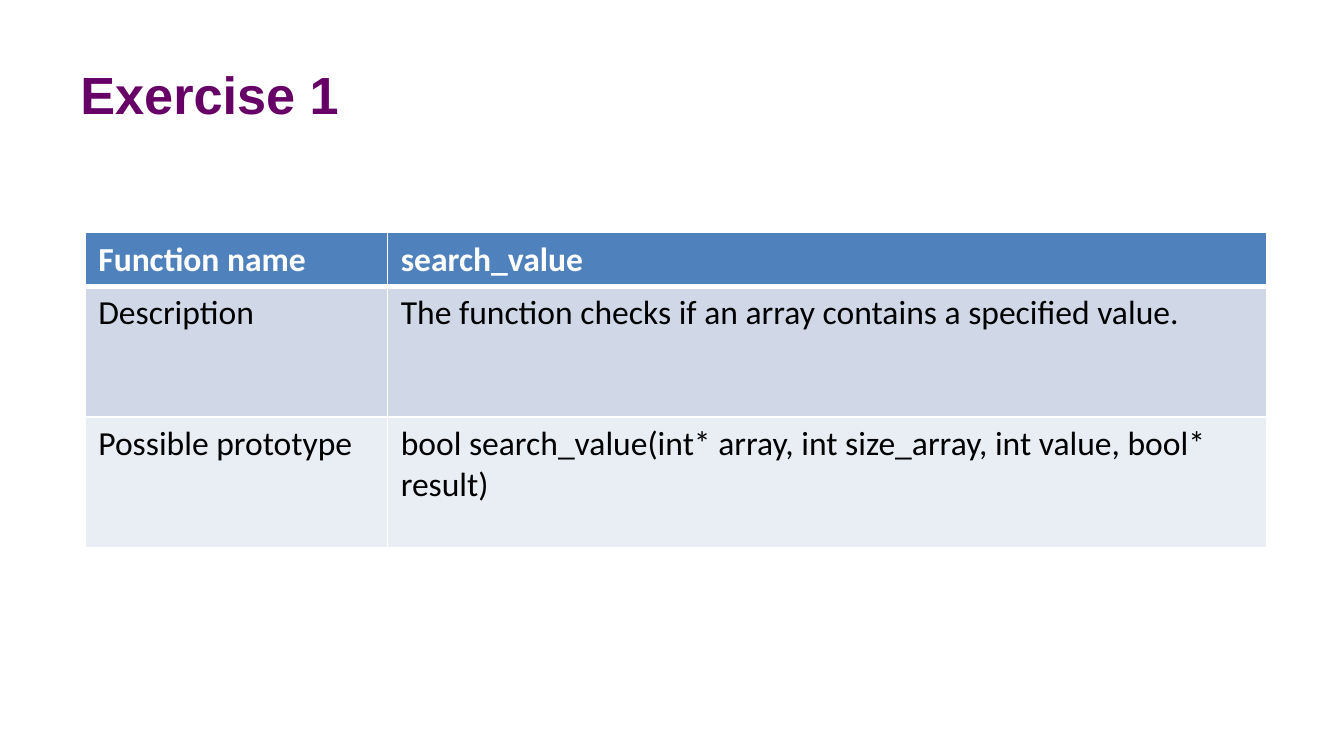
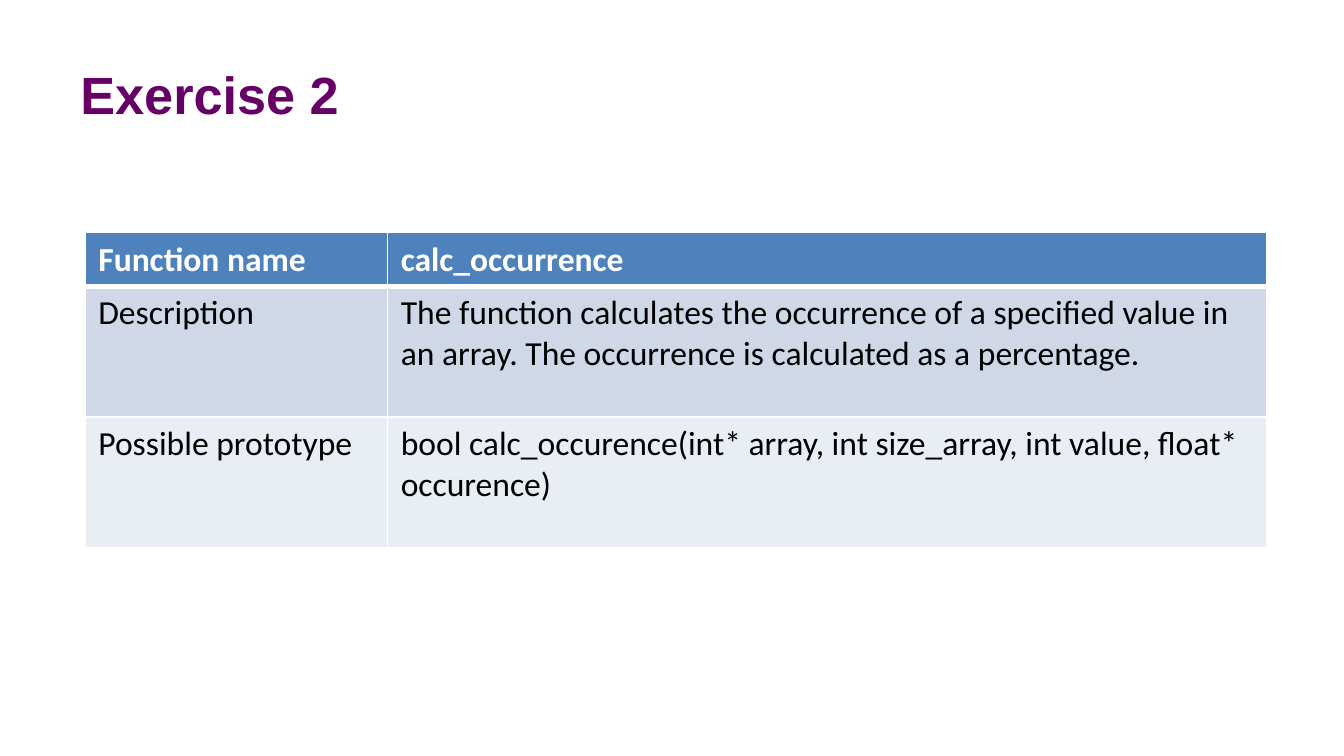
from dataclasses import dataclass

from lxml.etree import SubElement
from pptx import Presentation
from pptx.dml.color import RGBColor as RGB
from pptx.enum.text import MSO_ANCHOR as Anchor
from pptx.oxml import parse_xml
from pptx.oxml.ns import nsdecls, qn
from pptx.util import Pt


@dataclass(frozen=True)
class Theme:
    title_color: str = "660066"
    header_fill: str = "4F81BD"
    band_fills: tuple = ("D0D8E8", "E9EDF4")
    light: str = "FFFFFF"
    dark: str = "000000"
    title_font: str = "Arial"
    body_font: str = "Calibri"
    title_size: int = 28
    body_size: int = 18
    thin: int = 1
    thick: int = 3


THEME = Theme()
COLUMN_WIDTHS = (162, 471)
ROW_HEIGHTS = (28.5, 70, 70)
ROW_LABELS = ("Function name", "Description", "Possible prototype")
EXERCISES = (
    (
        "search_value",
        "The function checks if an array contains a specified value.",
        "bool search_value(int* array, int size_array, int value, bool* result)",
    ),
    (
        "calc_occurrence",
        "The function calculates the occurrence of a specified value in an array. "
        "The occurrence is calculated as a percentage.",
        "bool calc_occurence(int* array, int size_array, int value, float* occurence)",
    ),
)


def write(tf, text, *, font, size, color, bold=False):
    tf.word_wrap = True
    r = tf.paragraphs[0].add_run()
    r.text = text
    r.font.name = font
    r.font.size = Pt(size)
    r.font.bold = bold
    r.font.color.rgb = RGB.from_string(color)


def set_borders(cell, color, widths):
    """Draw the cell's edges; widths maps L, R, T and B to points."""
    tcPr = cell._tc.get_or_add_tcPr()
    for i, side in enumerate("LRTB"):
        ln = parse_xml(f'<a:ln{side} {nsdecls("a")} w="{Pt(widths[side])}"/>')
        fill = SubElement(ln, qn("a:solidFill"))
        SubElement(fill, qn("a:srgbClr"), val=color)
        tcPr.insert(i, ln)


class Deck:
    def __init__(self, theme):
        self.theme = theme
        self.prs = Presentation()
        self.prs.slide_width = Pt(720)
        self.prs.slide_height = Pt(405)
        self.s = None

    def new_slide(self):
        self.s = self.prs.slides.add_slide(self.prs.slide_layouts[6])

    def title(self, text):
        t = self.theme
        sp = self.s.shapes.add_textbox(Pt(36), Pt(16.5), Pt(648), Pt(67.5))
        sp.text_frame.vertical_anchor = Anchor.MIDDLE
        write(sp.text_frame, text, font=t.title_font, size=t.title_size,
              color=t.title_color, bold=True)

    def table(self, rows):
        frame = self.s.shapes.add_table(
            len(rows), len(COLUMN_WIDTHS), Pt(45.5), Pt(124.5),
            Pt(sum(COLUMN_WIDTHS)), Pt(sum(ROW_HEIGHTS)))
        table = frame.table
        table.horz_banding = False
        for column, width in zip(table.columns, COLUMN_WIDTHS):
            column.width = Pt(width)
        for i, (row, height) in enumerate(zip(table.rows, ROW_HEIGHTS)):
            row.height = Pt(height)
            for cell, text in zip(row.cells, rows[i]):
                self.cell(cell, text, i)

    def cell(self, cell, text, row):
        t = self.theme
        header = row == 0
        fill = t.header_fill if header else t.band_fills[(row - 1) % 2]
        cell.fill.solid()
        cell.fill.fore_color.rgb = RGB.from_string(fill)
        write(cell.text_frame, text, font=t.body_font, size=t.body_size,
              color=t.light if header else t.dark, bold=header)
        widths = dict.fromkeys("LRTB", t.thin)
        if header:
            widths["B"] = t.thick
        elif row == 1:
            widths["T"] = t.thick
        set_borders(cell, t.light, widths)


def main():
    deck = Deck(THEME)
    for number, details in enumerate(EXERCISES, 1):
        deck.new_slide()
        deck.title(f"Exercise {number}")
        deck.table(list(zip(ROW_LABELS, details)))
    deck.prs.save("out.pptx")


if __name__ == "__main__":
    main()
